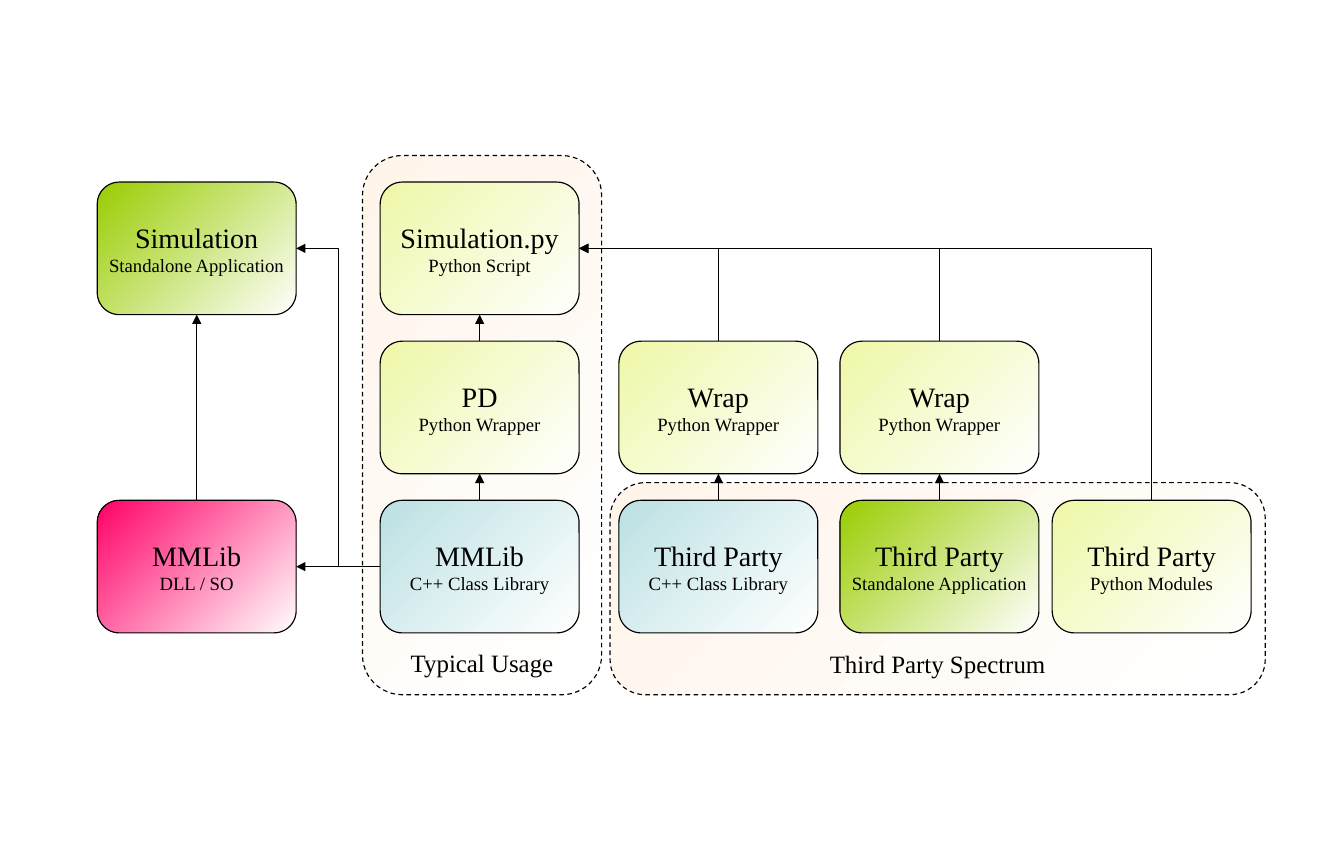
from lxml import etree
from pptx import Presentation
from pptx.dml.color import RGBColor
from pptx.enum import dml, shapes, text
from pptx.oxml import ns
from pptx.util import Cm, Pt

GREEN, LIME, BLUE, PINK, CREAM = "99CC00", "EFF7A7", "BBE0E3", "FF0066", "FFF5EB"
TOP, LEFT, BOTTOM, RIGHT = range(4)  # connection sites of a rounded box


def rgb(code):
    return RGBColor.from_string(code)


def add_box(left, top, width, height, tint, lines):
    """Add a rounded box fading to white, with (words, size) lines."""
    box = slide.shapes.add_shape(
        shapes.MSO_SHAPE.ROUNDED_RECTANGLE, Cm(left), Cm(top), Cm(width), Cm(height))
    box.shadow.inherit = False
    box.fill.gradient()
    box.fill.gradient_angle = 135
    for stop, code in zip(box.fill.gradient_stops, ("FFFFFF", tint)):
        stop.color.rgb = rgb(code)
    box.line.color.rgb = rgb("000000")
    box.line.width = Pt(0.75)
    frame = box.text_frame
    frame.word_wrap = False
    frame.vertical_anchor = text.MSO_ANCHOR.MIDDLE
    for i, (words, size) in enumerate(lines):
        para = frame.paragraphs[0] if i == 0 else frame.add_paragraph()
        para.alignment = text.PP_ALIGN.CENTER
        run = para.add_run()
        run.text = words
        run.font.name = "Times New Roman"
        run.font.size = Pt(size)
        run.font.color.rgb = rgb("000000")
    return box


deck = Presentation()
deck.slide_width, deck.slide_height = Cm(30.4), Cm(19.05)
slide = deck.slides.add_slide(deck.slide_layouts[6])

# Dashed groups behind the boxes
groups = [
    (13.8, 10.92, 14.82, 4.8, "Third Party Spectrum"),
    (8.2, 3.52, 5.41, 12.2, "Typical Usage"),
]
for left, top, width, height, label in groups:
    group = add_box(left, top, width, height, CREAM, [(label, 16)])
    group.line.dash_style = dml.MSO_LINE.DASH
    group.text_frame.vertical_anchor = text.MSO_ANCHOR.BOTTOM

# Boxes on a grid of five columns and three rows
cols = [2.2, 8.6, 14, 19, 23.8]
rows = [4.12 + 3.6 * i for i in range(3)]
cells = {
    "app": (0, 0, GREEN, "Simulation", "Standalone Application"),
    "dll": (0, 2, PINK, "MMLib", "DLL / SO"),
    "script": (1, 0, LIME, "Simulation.py", "Python Script"),
    "pd": (1, 1, LIME, "PD", "Python Wrapper"),
    "lib": (1, 2, BLUE, "MMLib", "C++ Class Library"),
    "wrap1": (2, 1, LIME, "Wrap", "Python Wrapper"),
    "third1": (2, 2, BLUE, "Third Party", "C++ Class Library"),
    "wrap2": (3, 1, LIME, "Wrap", "Python Wrapper"),
    "third2": (3, 2, GREEN, "Third Party", "Standalone Application"),
    "third3": (4, 2, LIME, "Third Party", "Python Modules"),
}
boxes = {}
for key, (col, row, tint, title, kind) in cells.items():
    boxes[key] = add_box(cols[col], rows[row], 4.5, 3, tint, [(title, 18), (kind, 12)])

# Arrows, each listed from the box it points at back to its source
links = [
    ("wrap1", BOTTOM, "third1", TOP, "line"),
    ("wrap2", BOTTOM, "third2", TOP, "line"),
    ("script", BOTTOM, "pd", TOP, "line"),
    ("pd", BOTTOM, "lib", TOP, "line"),
    ("app", BOTTOM, "dll", TOP, "line"),
    ("dll", RIGHT, "lib", LEFT, "line"),
    ("app", RIGHT, "lib", LEFT, "bentConnector3"),
    ("script", RIGHT, "wrap1", TOP, "bentConnector2"),
    ("script", RIGHT, "wrap2", TOP, "bentConnector2"),
    ("script", RIGHT, "third3", TOP, "bentConnector2"),
]
for goal, near, source, far, shape in links:
    link = slide.shapes.add_connector(shapes.MSO_CONNECTOR.STRAIGHT, 0, 0, 0, 0)
    link.begin_connect(boxes[goal], near)
    link.end_connect(boxes[source], far)
    link.line.color.rgb = rgb("000000")
    link.line.width = Pt(0.75)
    props = link._element.spPr
    props.find(ns.qn("a:prstGeom")).set("prst", shape)
    etree.SubElement(props.find(ns.qn("a:ln")), ns.qn("a:headEnd"), type="triangle")
    etree.SubElement(props, ns.qn("a:effectLst"))

deck.save("out.pptx")
